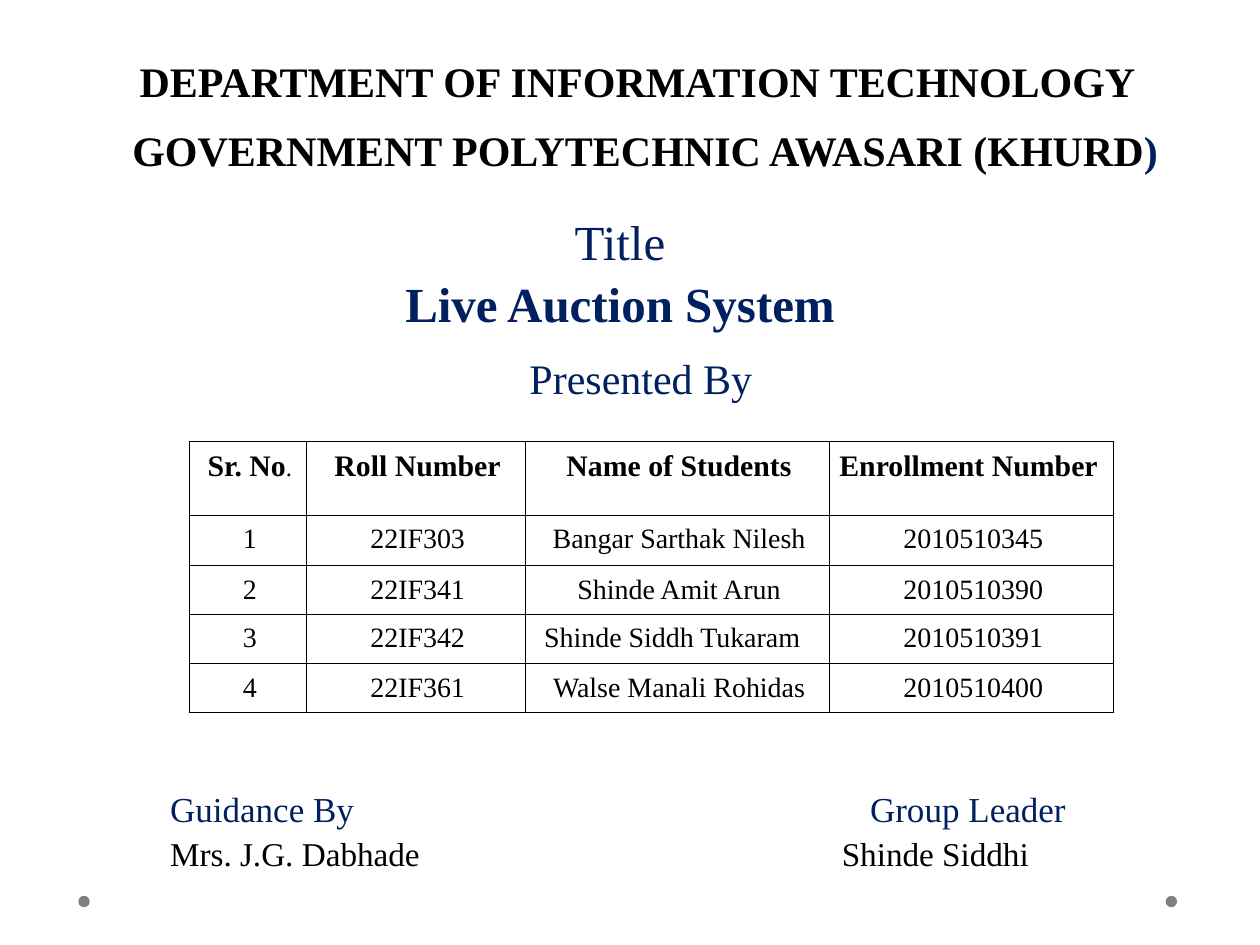
"""Build the opening slide of a student project: heading, title, team table and credits."""
from dataclasses import dataclass

from lxml import etree
from pptx import Presentation
from pptx.dml.color import RGBColor
from pptx.enum.shapes import MSO_SHAPE
from pptx.enum.text import MSO_ANCHOR, PP_ALIGN
from pptx.oxml.ns import qn
from pptx.util import Cm, Pt

LEFT, CENTER = PP_ALIGN.LEFT, PP_ALIGN.CENTER
TOP, BOTTOM = MSO_ANCHOR.TOP, MSO_ANCHOR.BOTTOM
OVAL = MSO_SHAPE.OVAL


@dataclass(frozen=True)
class Theme:
    font: str = "Times New Roman"
    black: RGBColor = RGBColor(0, 0, 0)
    navy: RGBColor = RGBColor(0x00, 0x20, 0x60)
    gray: RGBColor = RGBColor(0x80, 0x80, 0x80)
    title: float = 28
    heading: float = 24
    label: float = 20
    person: float = 19
    table_head: float = 17
    table_body: float = 16
    table_dot: float = 14
    border: float = 0.45


theme = Theme()


def add_run(paragraph, text, size, color, bold=False):
    run = paragraph.add_run()
    run.text = text
    run.font.name = theme.font
    run.font.size = Pt(size)
    run.font.bold = bold
    run.font.color.rgb = color


def add_text(left, top, width, height, lines, align=CENTER, anchor=TOP):
    frame = slide.shapes.add_textbox(Cm(left), Cm(top), Cm(width), Cm(height)).text_frame
    frame.word_wrap = True
    frame.vertical_anchor = anchor
    for number, (indent, before, spacing, runs) in enumerate(lines):
        paragraph = frame.add_paragraph() if number else frame.paragraphs[0]
        paragraph.alignment = align
        paragraph.line_spacing = spacing
        paragraph.space_before = Pt(before)
        paragraph._p.get_or_add_pPr().set("marL", str(Cm(indent)))
        for run in runs:
            add_run(paragraph, *run)


prs = Presentation()
prs.slide_width, prs.slide_height = Cm(25.4), Cm(19.05)
slide = prs.slides.add_slide(prs.slide_layouts[6])

for dot_left in (1.58, 23.5):
    dot = slide.shapes.add_shape(OVAL, Cm(dot_left), Cm(18.06), Cm(0.23), Cm(0.23))
    dot.shadow.inherit = False
    dot.fill.solid()
    dot.fill.fore_color.rgb = theme.gray
    dot.line.fill.background()

add_text(0.43, 0.95, 24.33, 3.1, [
    (0.52, 0, 1.04, [("DEPARTMENT OF INFORMATION TECHNOLOGY", theme.heading, theme.black, True)]),
    (0.82, 8.7, 1.07, [("GOVERNMENT POLYTECHNIC AWASARI (KHURD", theme.heading, theme.black, True),
                       (")", theme.heading, theme.navy, True)]),
])
add_text(1.7, 3.6, 21.6, 3.23, [
    (0, 0, 1.05, [("Title", theme.title, theme.navy)]),
    (0, 0, 1.05, [("Live Auction System", theme.title, theme.navy, True)]),
], anchor=BOTTOM)
add_text(3.18, 6.98, 19.48, 1.25, [(0, 0, 1, [("Presented By", theme.heading, theme.navy)])])

credits = [
    (3.18, 8, "Guidance By", "Mrs. J.G. Dabhade", 0),
    (16.72, 6, "Group Leader", "Shinde Siddhi", 0.57),
]
for left, width, role, person, role_indent in credits:
    add_text(left, 15.75, width, 1.9, [
        (role_indent, 0, 1, [(role, theme.label, theme.navy)]),
        (0, 2, 1, [(person, theme.person, theme.black)]),
    ], align=LEFT)

students = [
    ("Sr. No", "Roll Number", "Name of Students", "Enrollment Number"),
    ("1", "22IF303", "Bangar Sarthak Nilesh", "2010510345"),
    ("2", "22IF341", "Shinde Amit Arun", "2010510390"),
    ("3", "22IF342", "Shinde Siddh Tukaram", "2010510391"),
    ("4", "22IF361", "Walse Manali Rohidas", "2010510400"),
]
column_widths = [2.36, 4.41, 6.13, 5.73]
row_heights = [1.49, 1.01, 0.97, 0.99, 0.97]
left_indents = {(0, 3): 0, (3, 2): 0.18}

table = slide.shapes.add_table(len(row_heights), len(column_widths), Cm(3.82), Cm(8.9),
                               Cm(sum(column_widths)), Cm(sum(row_heights))).table
for column, width in zip(table.columns, column_widths):
    column.width = Cm(width)
for row, height in zip(table.rows, row_heights):
    row.height = Cm(height)

for r, student in enumerate(students):
    for c, value in enumerate(student):
        cell = table.cell(r, c)
        cell.margin_left = Cm(0.2)
        cell.margin_right = cell.margin_top = cell.margin_bottom = Cm(0.13)
        paragraph = cell.text_frame.paragraphs[0]
        paragraph.alignment = LEFT if (r, c) in left_indents else CENTER
        paragraph.line_spacing = 1.07
        paragraph._p.get_or_add_pPr().set("marL", str(Cm(left_indents.get((r, c), 0))))
        size = theme.table_body if r else theme.table_head
        add_run(paragraph, value, size, theme.black, r == 0)
        if (r, c) == (0, 0):
            add_run(paragraph, ".", theme.table_dot, theme.black)
        properties = cell._tc.get_or_add_tcPr()
        for side in ("a:lnL", "a:lnR", "a:lnT", "a:lnB"):
            border = etree.SubElement(properties, qn(side), w=str(Pt(theme.border)))
            fill = etree.SubElement(border, qn("a:solidFill"))
            etree.SubElement(fill, qn("a:srgbClr"), val=str(theme.black))
        cell.fill.background()

prs.save("out.pptx")
